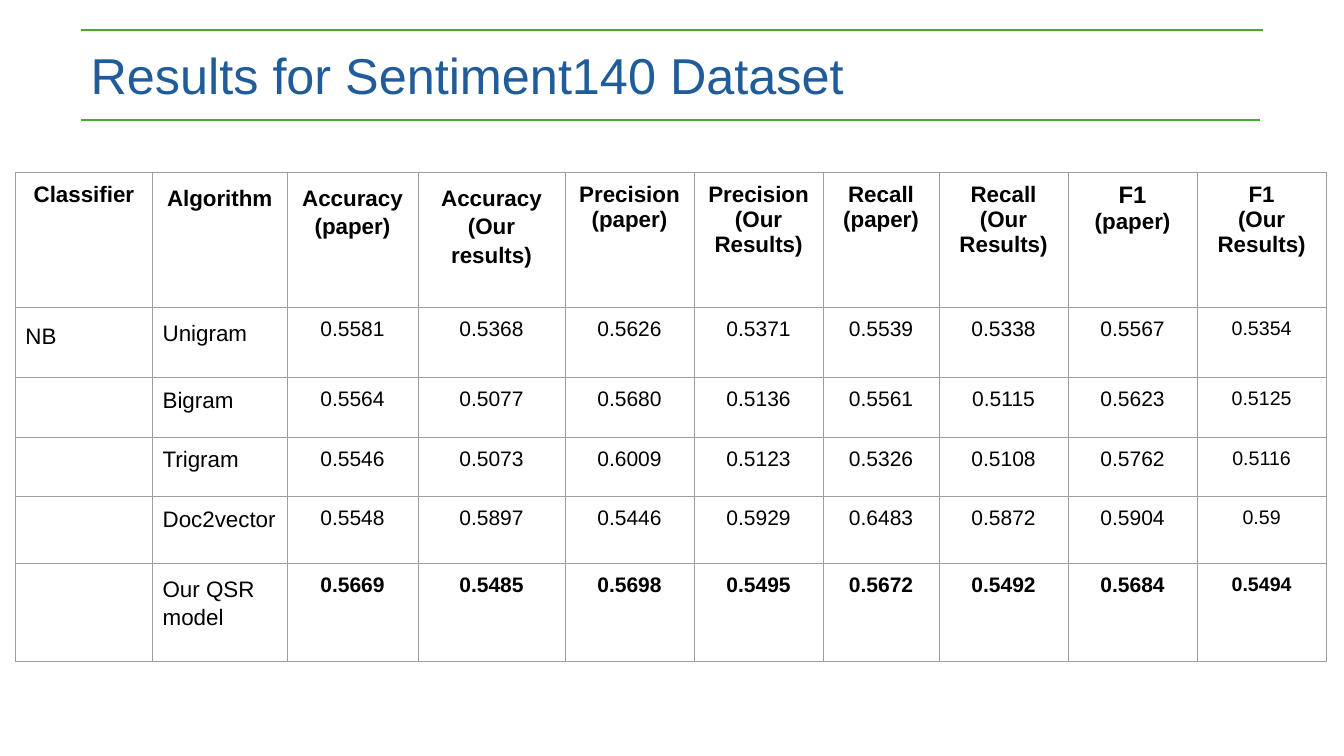
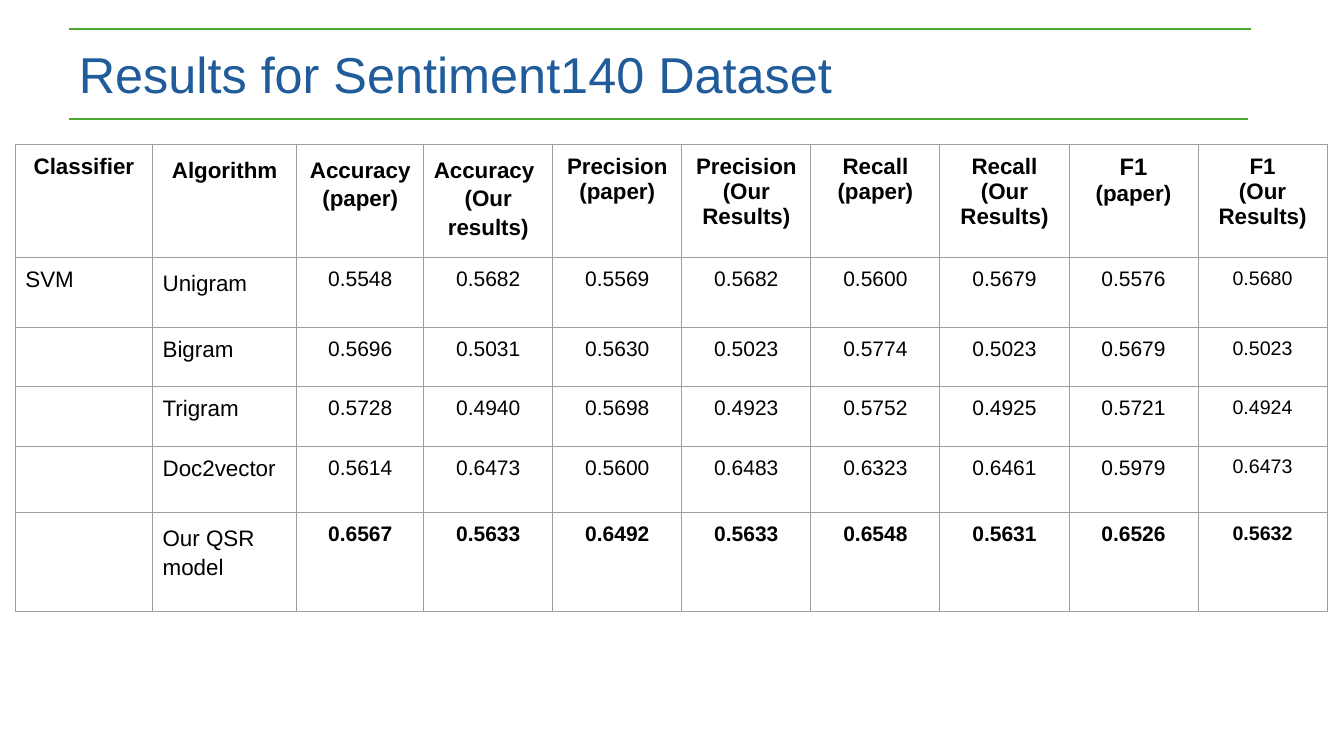
from dataclasses import dataclass

from pptx import Presentation
from pptx import util as u
from pptx.dml import color
from pptx.enum import shapes, text
from pptx.oxml import ns, xmlchemy

Pt = u.Pt
FONT = "Arial"
COLOURS = {"rule": "4EA72E", "title": "1F5C99", "text": "000000", "grid": "9E9E9E"}
CENTER, LEFT = text.PP_ALIGN.CENTER, text.PP_ALIGN.LEFT
LOOSE = 1.15
INSET = 7.2
TITLE = "Results for Sentiment140 Dataset"
ALGORITHMS = ["Unigram", "Bigram", "Trigram", "Doc2vector", "Our QSR model"]
LOOSE_ALGORITHMS = {"Unigram", "Our QSR model"}
BODY_HEIGHTS = [50, 42.5, 42.5, 47.5, 70.5]
CELL_FORMAT = {
    "margin_left": Pt(INSET), "margin_right": Pt(INSET),
    "margin_top": Pt(INSET), "margin_bottom": Pt(INSET),
    "vertical_anchor": text.MSO_ANCHOR.TOP,
}
FRAME_FORMAT = {
    "margin_left": Pt(7.2), "margin_right": Pt(7.2),
    "margin_top": Pt(3.6), "margin_bottom": Pt(3.6),
    "word_wrap": True, "auto_size": text.MSO_AUTO_SIZE.SHAPE_TO_FIT_TEXT,
}


@dataclass(frozen=True)
class Line:
    text: str
    size: float = 16
    bold: bool = False
    align: text.PP_ALIGN = CENTER
    spacing: float | None = None
    colour: str = "text"


@dataclass(frozen=True)
class Results:
    classifier: str
    title_left: float
    title_top: float
    table_top: float
    header_height: float
    widths: list[float]
    scores: list[str]
    classifier_inset: float = INSET
    accuracy_align: text.PP_ALIGN = CENTER


RESULTS = [
    Results(
        "NB", 57.6, 21.6, 122.9, 97,
        [98, 96, 93.6, 105, 92.2, 92.2, 82.8, 92.2, 92.2, 92.2],
        ["0.5581 0.5368 0.5626 0.5371 0.5539 0.5338 0.5567 0.5354",
         "0.5564 0.5077 0.5680 0.5136 0.5561 0.5115 0.5623 0.5125",
         "0.5546 0.5073 0.6009 0.5123 0.5326 0.5108 0.5762 0.5116",
         "0.5548 0.5897 0.5446 0.5929 0.6483 0.5872 0.5904 0.59",
         "0.5669 0.5485 0.5698 0.5495 0.5672 0.5492 0.5684 0.5494"],
        classifier_inset=11.7,
    ),
    Results(
        "SVM", 49.2, 20.9, 103, 80.7,
        [98, 103, 90.7] + [92.2] * 7,
        ["0.5548 0.5682 0.5569 0.5682 0.5600 0.5679 0.5576 0.5680",
         "0.5696 0.5031 0.5630 0.5023 0.5774 0.5023 0.5679 0.5023",
         "0.5728 0.4940 0.5698 0.4923 0.5752 0.4925 0.5721 0.4924",
         "0.5614 0.6473 0.5600 0.6483 0.6323 0.6461 0.5979 0.6473",
         "0.6567 0.5633 0.6492 0.5633 0.6548 0.5631 0.6526 0.5632"],
        accuracy_align=LEFT,
    ),
]


def set_attributes(target: object, values: dict) -> None:
    for name, value in values.items():
        setattr(target, name, value)


def rgb(name: str) -> color.RGBColor:
    return color.RGBColor.from_string(COLOURS[name])


def write(frame, lines: list[Line]) -> None:
    for index, line in enumerate(lines):
        paragraph = frame.add_paragraph() if index else frame.paragraphs[0]
        set_attributes(paragraph, {"alignment": line.align, "line_spacing": line.spacing})
        run = paragraph.add_run()
        run.text = line.text
        set_attributes(run.font, {"name": FONT, "size": Pt(line.size), "bold": line.bold})
        run.font.color.rgb = rgb(line.colour)


def add_rule(slide, left: float, top: float, width: float) -> None:
    rule = slide.shapes.add_connector(
        shapes.MSO_CONNECTOR.STRAIGHT, Pt(left), Pt(top), Pt(left + width), Pt(top))
    rule.line.width = Pt(1.5)
    rule.line.color.rgb = rgb("rule")
    rule.element.spPr.append(xmlchemy.OxmlElement("a:effectLst"))


def add_title(slide, left: float, top: float) -> None:
    add_rule(slide, left, top, 844.6)
    add_rule(slide, left, top + 64.1, 842.4)
    box = slide.shapes.add_textbox(Pt(left), Pt(top + 6.2), Pt(692.6), Pt(51.1))
    set_attributes(box.text_frame, FRAME_FORMAT)
    write(box.text_frame, [Line(TITLE, 36, align=LEFT, colour="title")])


def format_cell(cell) -> None:
    """Give a cell its insets, thin grid borders and no fill."""
    set_attributes(cell, CELL_FORMAT)
    properties = cell._tc.get_or_add_tcPr()
    for side in ("lnL", "lnR", "lnT", "lnB"):
        border = xmlchemy.OxmlElement(f"a:{side}")
        border.set("w", str(Pt(0.75)))
        fill = xmlchemy.OxmlElement("a:solidFill")
        colour = xmlchemy.OxmlElement("a:srgbClr")
        colour.set("val", COLOURS["grid"])
        fill.append(colour)
        border.append(fill)
        properties.append(border)
    cell.fill.background()


def header_cells(results: Results) -> list[list[Line]]:
    cells = [[Line("Classifier", bold=True)],
             [Line("Algorithm", bold=True, spacing=LOOSE)]]
    for metric in ("Accuracy", "Precision", "Recall", "F1"):
        is_accuracy = metric == "Accuracy"
        spacing = LOOSE if is_accuracy else None
        ours = "(Our results)" if is_accuracy else "(Our Results)"
        ours_align = results.accuracy_align if is_accuracy else CENTER
        paper_size = 17 if metric == "F1" else 16
        cells += [
            [Line(metric, paper_size, True, spacing=spacing),
             Line("(paper)", bold=True, spacing=spacing)],
            [Line(metric, bold=True, align=ours_align, spacing=spacing),
             Line(ours, bold=True, spacing=spacing)],
        ]
    return cells


def body_cells(results: Results) -> list[list[list[Line]]]:
    rows = []
    for algorithm, scores in zip(ALGORITHMS, results.scores):
        spacing = LOOSE if algorithm in LOOSE_ALGORITHMS else None
        is_ours = algorithm == ALGORITHMS[-1]
        values = scores.split()
        sizes = [15] * (len(values) - 1) + [14]
        classifier = [] if rows else [Line(results.classifier, align=LEFT)]
        rows.append(
            [classifier, [Line(algorithm, align=LEFT, spacing=spacing)]]
            + [[Line(value, size, is_ours)] for value, size in zip(values, sizes)])
    return rows


def add_results_table(slide, results: Results) -> None:
    rows = [header_cells(results), *body_cells(results)]
    heights = [results.header_height, *BODY_HEIGHTS]
    table = slide.shapes.add_table(
        len(rows), len(results.widths), Pt(11), Pt(results.table_top),
        Pt(sum(results.widths)), Pt(sum(heights))).table
    set_attributes(table, {"first_row": False, "horz_banding": False})
    for column, width in zip(table.columns, results.widths):
        column.width = Pt(width)
    for row, height, contents in zip(table.rows, heights, rows):
        row.height = Pt(height)
        for cell, lines in zip(row.cells, contents):
            format_cell(cell)
            write(cell.text_frame, lines)
    table.cell(1, 0).margin_top = Pt(results.classifier_inset)


def main() -> None:
    presentation = Presentation()
    set_attributes(presentation, {"slide_width": Pt(960), "slide_height": Pt(540)})
    blank = presentation.slide_layouts[6]
    for results in RESULTS:
        slide = presentation.slides.add_slide(blank)
        add_title(slide, results.title_left, results.title_top)
        add_results_table(slide, results)
    presentation.save("out.pptx")


if __name__ == "__main__":
    main()
